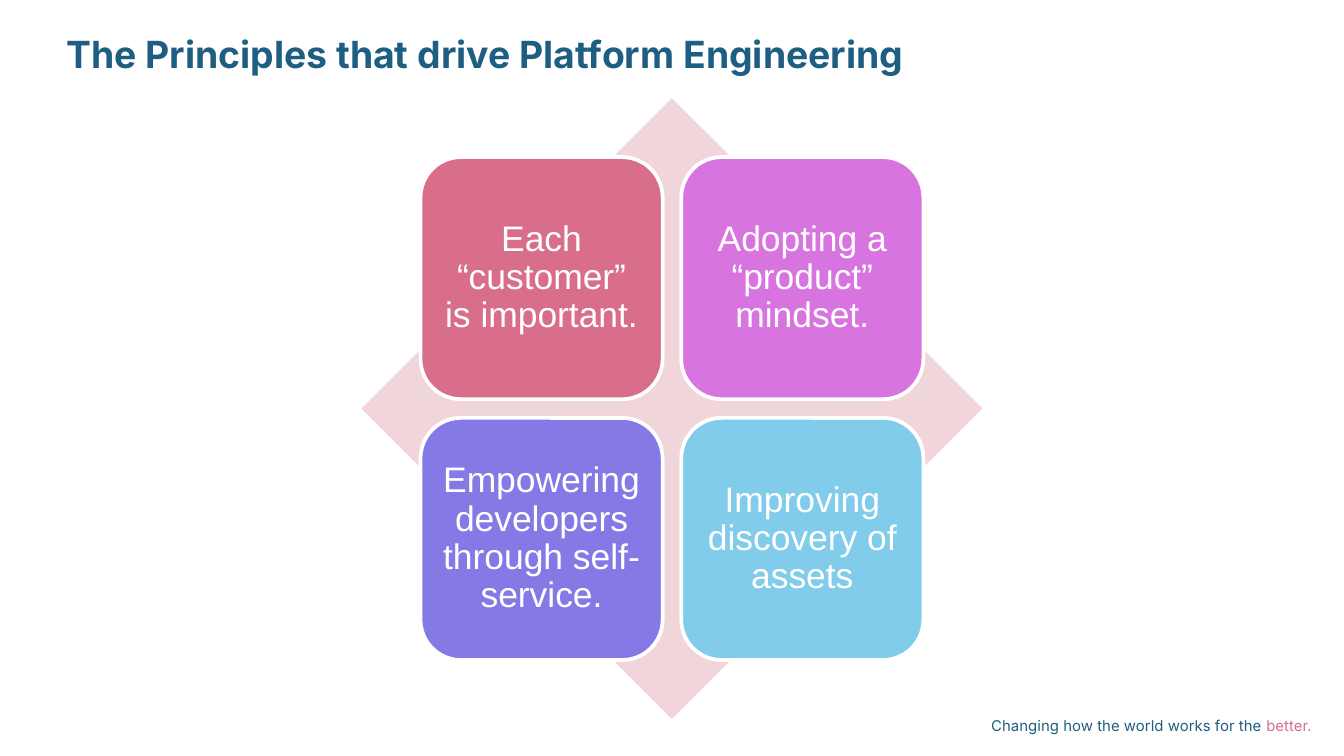
from pptx import Presentation
from pptx.dml.color import RGBColor
from pptx.enum.shapes import MSO_SHAPE
from pptx.enum.text import MSO_ANCHOR, PP_ALIGN
from pptx.util import Pt

NAVY = RGBColor(0x1E, 0x5E, 0x82)
ROSE = RGBColor(0xD8, 0x6E, 0x89)
PALE_ROSE = RGBColor(0xF0, 0xD5, 0xDA)
ORCHID = RGBColor(0xD7, 0x74, 0xDF)
VIOLET = RGBColor(0x85, 0x7A, 0xE5)
SKY = RGBColor(0x81, 0xCC, 0xEA)
WHITE = RGBColor(0xFF, 0xFF, 0xFF)


def set_frame(tf, inset, anchor):
    tf.word_wrap = True
    tf.vertical_anchor = anchor
    tf.margin_left = tf.margin_right = Pt(inset)
    tf.margin_top = tf.margin_bottom = Pt(inset)


def add_run(p, text, font, size, color, bold=False):
    r = p.add_run()
    r.text = text
    r.font.name = font
    r.font.size = Pt(size)
    r.font.bold = bold
    r.font.color.rgb = color


prs = Presentation()
prs.slide_width, prs.slide_height = Pt(720), Pt(405)
s = prs.slides.add_slide(prs.slide_layouts[6])

# Footer
tb = s.shapes.add_textbox(Pt(512), Pt(383.8), Pt(190.7), Pt(8))
set_frame(tb.text_frame, 0, MSO_ANCHOR.TOP)
p = tb.text_frame.paragraphs[0]
p.alignment = PP_ALIGN.RIGHT
add_run(p, "Changing how the world works for the ", "Inter", 8, NAVY)
add_run(p, "better.", "Inter", 8, ROSE)

# Diamond with four tiles around its centre
CENTER_X, CENTER_Y = 360, 218.9
DIAMOND = 332.6
TILE, GAP = 129.7, 10

diamond = s.shapes.add_shape(
    MSO_SHAPE.DIAMOND, Pt(CENTER_X - DIAMOND / 2), Pt(CENTER_Y - DIAMOND / 2),
    Pt(DIAMOND), Pt(DIAMOND))
diamond.shadow.inherit = False
diamond.fill.solid()
diamond.fill.fore_color.rgb = PALE_ROSE
diamond.line.fill.background()

principles = [
    ("Each “customer” is important.", ROSE),
    ("Adopting a “product” mindset.", ORCHID),
    ("Empowering developers through self-service.", VIOLET),
    ("Improving discovery of assets", SKY),
]
left = CENTER_X - GAP / 2 - TILE
top = CENTER_Y - GAP / 2 - TILE
for i, (text, color) in enumerate(principles):
    row, col = divmod(i, 2)
    sp = s.shapes.add_shape(
        MSO_SHAPE.ROUNDED_RECTANGLE, Pt(left + col * (TILE + GAP)),
        Pt(top + row * (TILE + GAP)), Pt(TILE), Pt(TILE))
    sp.shadow.inherit = False
    sp.fill.solid()
    sp.fill.fore_color.rgb = color
    sp.line.color.rgb = WHITE
    sp.line.width = Pt(2)
    set_frame(sp.text_frame, 5.7, MSO_ANCHOR.MIDDLE)
    p = sp.text_frame.paragraphs[0]
    p.alignment = PP_ALIGN.CENTER
    p.line_spacing = 0.9
    add_run(p, text, "Arial", 19, WHITE)

# Title
tb = s.shapes.add_textbox(Pt(35.5), Pt(19.5), Pt(584.5), Pt(24))
set_frame(tb.text_frame, 0, MSO_ANCHOR.TOP)
p = tb.text_frame.paragraphs[0]
p.line_spacing = 0.9
add_run(p, "The Principles that drive Platform Engineering", "Inter", 20, NAVY, bold=True)

prs.save("out.pptx")
